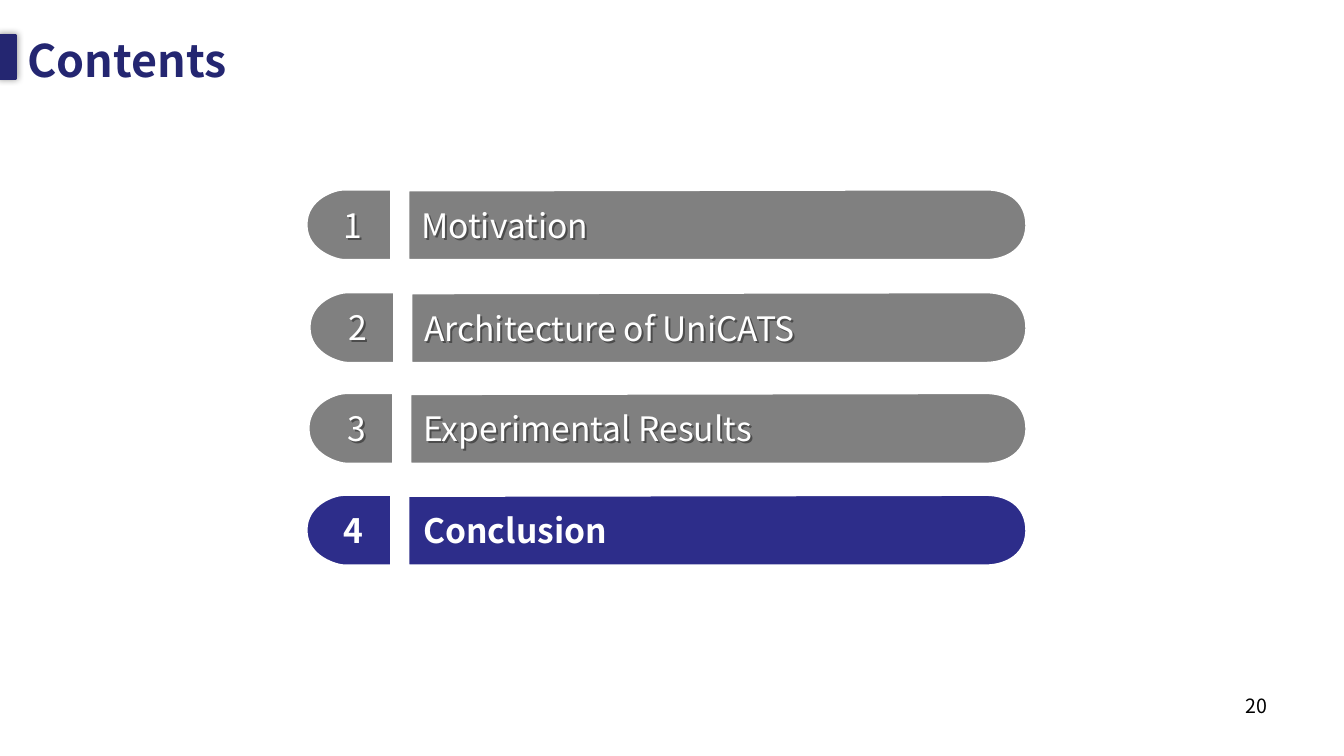
from dataclasses import dataclass

from lxml.etree import SubElement
from pptx import Presentation
from pptx.dml.color import RGBColor
from pptx.enum.shapes import MSO_SHAPE as Shape
from pptx.enum.text import MSO_ANCHOR as Anchor, MSO_AUTO_SIZE as AutoSize, PP_ALIGN as Align
from pptx.oxml.ns import qn
from pptx.util import Inches, Pt


@dataclass(frozen=True)
class Theme:
    font: str = "Noto Sans CJK SC"
    navy: str = "242671"
    active: str = "2D2D8A"
    muted: str = "808080"
    white: str = "FFFFFF"
    black: str = "000000"
    title_size: int = 32
    item_size: int = 24
    page_size: int = 14


class ContentsSlide:
    def __init__(self, deck, theme):
        self.theme = theme
        self.slide = deck.slides.add_slide(deck.slide_layouts[6])

    def paint(self, shape, fill, line, width):
        shape.shadow.inherit = False
        shape.fill.solid()
        shape.fill.fore_color.rgb = RGBColor.from_string(fill)
        shape.line.color.rgb = RGBColor.from_string(line)
        shape.line.width = Pt(width)

    def add_shadow(self, shape, blur, distance, direction):
        shape.shadow.inherit = False
        effects = shape._element.spPr.find(qn("a:effectLst"))
        shadow = SubElement(effects, qn("a:outerShdw"), blurRad=str(Pt(blur)),
                            dist=str(Pt(distance)), dir=str(direction * 60000))
        colour = SubElement(shadow, qn("a:srgbClr"), val=self.theme.black)
        SubElement(colour, qn("a:alpha"), val="40000")

    def marker(self, left, top, width, height):
        bar = self.slide.shapes.add_shape(
            Shape.RECTANGLE, Inches(left), Inches(top), Inches(width), Inches(height))
        self.paint(bar, self.theme.navy, self.theme.navy, 2)
        self.add_shadow(bar, blur=5, distance=0, direction=0)

    def outline(self, straight, curved, fill):
        """Straight corners, then two curves of three points each."""
        points = [(Inches(x), Inches(y)) for x, y in straight + curved]
        builder = self.slide.shapes.build_freeform(*points[0])
        builder.add_line_segments(points[1:], close=True)
        shape = builder.convert_to_shape()
        self.paint(shape, fill, self.theme.white, 1.5)
        # Join each three curve points into one cubic segment
        segments = list(shape._element.iter(qn("a:lnTo")))[len(straight) - 1:]
        for first in range(0, len(curved), 3):
            end = segments[first]
            end.tag = qn("a:cubicBezTo")
            for segment in segments[first + 1:first + 3]:
                end.append(segment[0])
                segment.getparent().remove(segment)

    def tab(self, left, top, fill):
        """Number tab, rounded on the left."""
        right, bottom, middle = left + 0.84, top + 0.7, top + 0.35
        shoulder = left + 0.37
        self.outline(
            [(right, top), (right, bottom), (shoulder, bottom)],
            [(left + 0.31, bottom), (left, bottom - 0.08), (left, middle),
             (left, top + 0.09), (left + 0.28, top), (shoulder, top)], fill)

    def panel(self, left, top, fill, right=10.18):
        """Heading panel, rounded on the right."""
        bottom, middle, shoulder = top + 0.7, top + 0.36, right - 0.4
        self.outline(
            [(left, top + 0.01), (left, bottom), (shoulder, bottom)],
            [(right - 0.25, bottom), (right - 0.01, bottom - 0.07), (right, middle),
             (right, top + 0.09), (right - 0.21, top), (shoulder, top)], fill)

    def text(self, words, box, size, colour, bold=False, align=Align.LEFT,
             anchor=Anchor.TOP, inset=0.05, grow=False, shadow=False):
        label = self.slide.shapes.add_textbox(*map(Inches, box))
        if shadow:
            self.add_shadow(label, blur=0, distance=2, direction=45)
        frame = label.text_frame
        frame.word_wrap = True
        frame.vertical_anchor = anchor
        frame.margin_top = frame.margin_bottom = Inches(inset)
        frame.auto_size = AutoSize.SHAPE_TO_FIT_TEXT if grow else AutoSize.NONE
        frame.text = words
        paragraph = frame.paragraphs[0]
        paragraph.alignment = align
        font = paragraph.runs[0].font
        font.size = Pt(size)
        font.bold = bold
        font.color.rgb = RGBColor.from_string(colour)
        font.name = self.theme.font
        SubElement(font._element, qn("a:ea"), typeface=self.theme.font)

    def item(self, number, heading, left, top, heading_left, align, current):
        theme = self.theme
        fill = theme.active if current else theme.muted
        self.panel(left + 1.01, top, fill)
        self.tab(left, top, fill)
        style = dict(size=theme.item_size, colour=theme.white, bold=current,
                     grow=True, shadow=not current)
        self.text(str(number), (left + 0.27, top + 0.1, 0.42, 0.5), align=align, **style)
        self.text(heading, (heading_left, top + 0.12, 5.85, 0.46),
                  anchor=Anchor.MIDDLE, inset=0.03, **style)


def main():
    deck = Presentation()
    deck.slide_width, deck.slide_height = Inches(13.33), Inches(7.5)
    theme = Theme()
    contents = ContentsSlide(deck, theme)

    # Title and page number
    contents.marker(-0.01, 0.35, 0.17, 0.43)
    contents.text("Contents", (0.17, -0.13, 12.95, 1.45), theme.title_size, theme.navy,
                  bold=True, anchor=Anchor.MIDDLE)
    contents.text("20", (9.56, 6.83, 3.11, 0.52), theme.page_size, theme.black, align=Align.RIGHT)

    # Agenda items: heading, left, top, heading left, number alignment
    agenda = [
        ("Motivation", 3.04, 1.88, 4.08, Align.LEFT),
        ("Architecture of UniCATS", 3.07, 2.9, 4.11, Align.CENTER),
        ("Experimental Results", 3.06, 3.9, 4.1, Align.CENTER),
        ("Conclusion", 3.04, 4.91, 4.1, Align.LEFT),
    ]
    for number, entry in enumerate(agenda, start=1):
        contents.item(number, *entry, current=number == len(agenda))

    deck.save("out.pptx")


if __name__ == "__main__":
    main()
